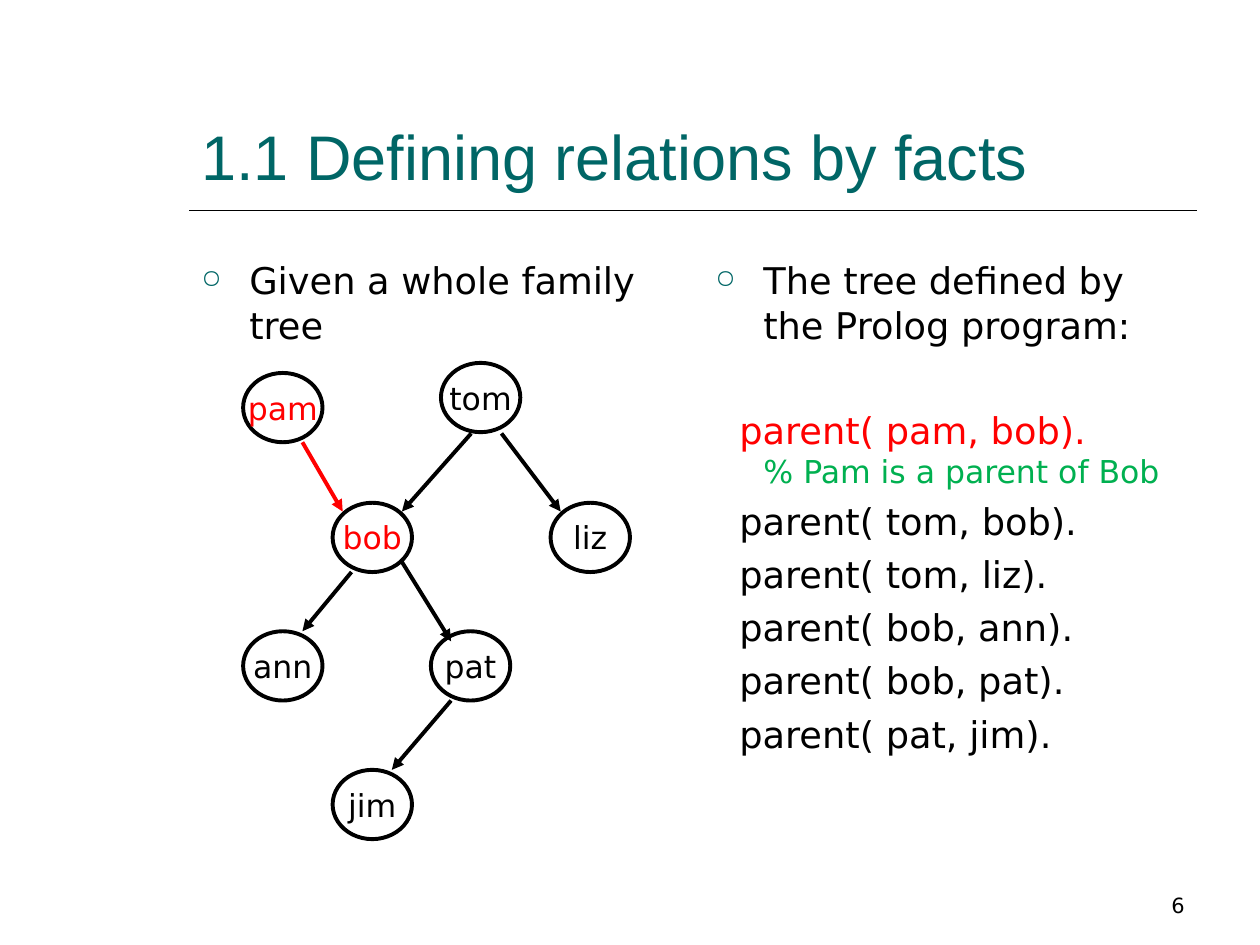
import pptx
import pptx.util
import pptx.dml.color
import pptx.enum.shapes
import pptx.enum.text
import pptx.oxml
import pptx.oxml.ns
from pptx.util import Inches

RGBColor = pptx.dml.color.RGBColor
BLACK = RGBColor(0x00, 0x00, 0x00)
WHITE = RGBColor(0xFF, 0xFF, 0xFF)
TEAL = RGBColor(0x00, 0x66, 0x66)
RED = RGBColor(0xFF, 0x00, 0x00)
GREEN = RGBColor(0x00, 0xB0, 0x50)
SANS = "DejaVu Sans"
ALIGN = pptx.enum.text.PP_ALIGN
ANCHOR = pptx.enum.text.MSO_ANCHOR

NODE_W, NODE_H = 0.63, 0.55
# Node name: left and top within the tree, colour
NODES = {
    "pam": (0, 0.08, RED),
    "tom": (1.57, 0, BLACK),
    "bob": (0.71, 1.11, RED),
    "liz": (2.44, 1.11, BLACK),
    "ann": (0, 2.13, BLACK),
    "pat": (1.49, 2.13, BLACK),
    "jim": (0.71, 3.23, BLACK),
}
# Arrow start and end within the tree, colour
ARROWS = [
    ((0.47, 0.63), (0.79, 1.18), RED),     # pam to bob
    ((1.81, 0.56), (1.26, 1.18), BLACK),   # tom to bob
    ((2.05, 0.56), (2.52, 1.18), BLACK),   # tom to liz
    ((0.86, 1.66), (0.47, 2.13), BLACK),   # bob to ann
    ((1.26, 1.58), (1.65, 2.21), BLACK),   # bob to pat
    ((1.65, 2.68), (1.18, 3.23), BLACK),   # pat to jim
]
FACTS = ["tom, bob", "tom, liz", "bob, ann", "bob, pat", "pat, jim"]


def format_run(r, size, color, font=SANS):
    r.font.size = pptx.util.Pt(size)
    r.font.name = font
    r.font.color.rgb = color


def add_text_box(slide, left, top, width, height, anchor=ANCHOR.TOP):
    s = slide.shapes.add_textbox(Inches(left), Inches(top), Inches(width), Inches(height))
    tf = s.text_frame
    tf.word_wrap = True
    tf.vertical_anchor = anchor
    return tf


def add_line(slide, start, end, color, width, arrow=False):
    s = slide.shapes.add_connector(
        pptx.enum.shapes.MSO_CONNECTOR.STRAIGHT,
        *(Inches(v) for v in (*start, *end)))
    s.line.color.rgb = color
    s.line.width = pptx.util.Pt(width)
    if arrow:
        ln = s.line._get_or_add_ln()
        ln.append(pptx.oxml.parse_xml(
            f'<a:tailEnd {pptx.oxml.ns.nsdecls("a")} type="triangle"/>'))
    s._element.spPr.append(pptx.oxml.parse_xml(
        f'<a:effectLst {pptx.oxml.ns.nsdecls("a")}/>'))


def set_indent(p, left, first, space_before):
    pPr = p._p.get_or_add_pPr()
    pPr.set("marL", str(Inches(left)))
    pPr.set("indent", str(Inches(first)))
    p.space_before = pptx.util.Pt(space_before)
    return pPr


def add_heading(slide, left, top, width, height):
    tf = add_text_box(slide, left, top, width, height, ANCHOR.BOTTOM)
    tf.text = "1.1 Defining relations by facts"
    format_run(tf.paragraphs[0].runs[0], 36, TEAL, "Arial")
    # Rule under the title
    rule_y = top + height + 0.09
    add_line(slide, (left, rule_y), (left + width, rule_y), BLACK, 1)


def add_bullet_box(slide, left, top, width, height, text):
    tf = add_text_box(slide, left, top, width, height)
    p = tf.paragraphs[0]
    p.text = text
    format_run(p.runs[0], 21, BLACK)
    pPr = set_indent(p, 0.38, -0.38, 5.2)
    for xml in (f'<a:buClr %s><a:srgbClr val="{TEAL}"/></a:buClr>',
                '<a:buSzPct %s val="70000"/>',
                '<a:buChar %s char="○"/>'):
        pPr.append(pptx.oxml.parse_xml(xml % pptx.oxml.ns.nsdecls("a")))
    return tf


def add_program(slide, left, top, width, height):
    tf = add_bullet_box(slide, left, top, width, height,
                        "The tree defined by the Prolog program:")
    # First fact, with its comment on the next line
    p = tf.add_paragraph()
    p.text = "parent( pam, bob).\v% Pam is a parent of Bob"
    set_indent(p, 0.38, -0.19, 35)
    fact, comment = p.runs
    format_run(fact, 21, RED)
    format_run(comment, 18, GREEN)
    # Remaining facts
    for pair in FACTS:
        p = tf.add_paragraph()
        p.text = f"parent( {pair})."
        set_indent(p, 0.38, -0.19, 5.2)
        format_run(p.runs[0], 21, BLACK)


def add_family_tree(slide, left, top):
    for name, (x, y, color) in NODES.items():
        s = slide.shapes.add_shape(
            pptx.enum.shapes.MSO_SHAPE.OVAL, Inches(left + x), Inches(top + y),
            Inches(NODE_W), Inches(NODE_H))
        s.shadow.inherit = False
        s.fill.solid()
        s.fill.fore_color.rgb = WHITE
        s.line.color.rgb = BLACK
        s.line.width = pptx.util.Pt(2.25)
        tf = s.text_frame
        tf.word_wrap = False
        tf.vertical_anchor = ANCHOR.MIDDLE
        tf.text = name
        p = tf.paragraphs[0]
        p.alignment = ALIGN.CENTER
        format_run(p.runs[0], 18, color)
    for start, end, color in ARROWS:
        add_line(slide, (left + start[0], top + start[1]),
                 (left + end[0], top + end[1]), color, 2.25, arrow=True)


def add_page_number(slide, left, top, width, height):
    tf = add_text_box(slide, left, top, width, height, ANCHOR.BOTTOM)
    tf.text = "6"
    p = tf.paragraphs[0]
    p.alignment = ALIGN.RIGHT
    format_run(p.runs[0], 12, BLACK)


def main():
    prs = pptx.Presentation()
    prs.slide_width, prs.slide_height = Inches(10), Inches(7.5)
    slide = prs.slides.add_slide(prs.slide_layouts[6])
    add_page_number(slide, 7.17, 6.83, 2.33, 0.5)
    add_heading(slide, 1.5, 0.33, 8, 1.25)
    add_bullet_box(slide, 1.5, 2, 3.91, 4.5, "Given a whole family tree")
    add_program(slide, 5.58, 2, 3.92, 4.5)
    add_family_tree(slide, 1.93, 2.88)
    prs.save("out.pptx")


if __name__ == "__main__":
    main()
